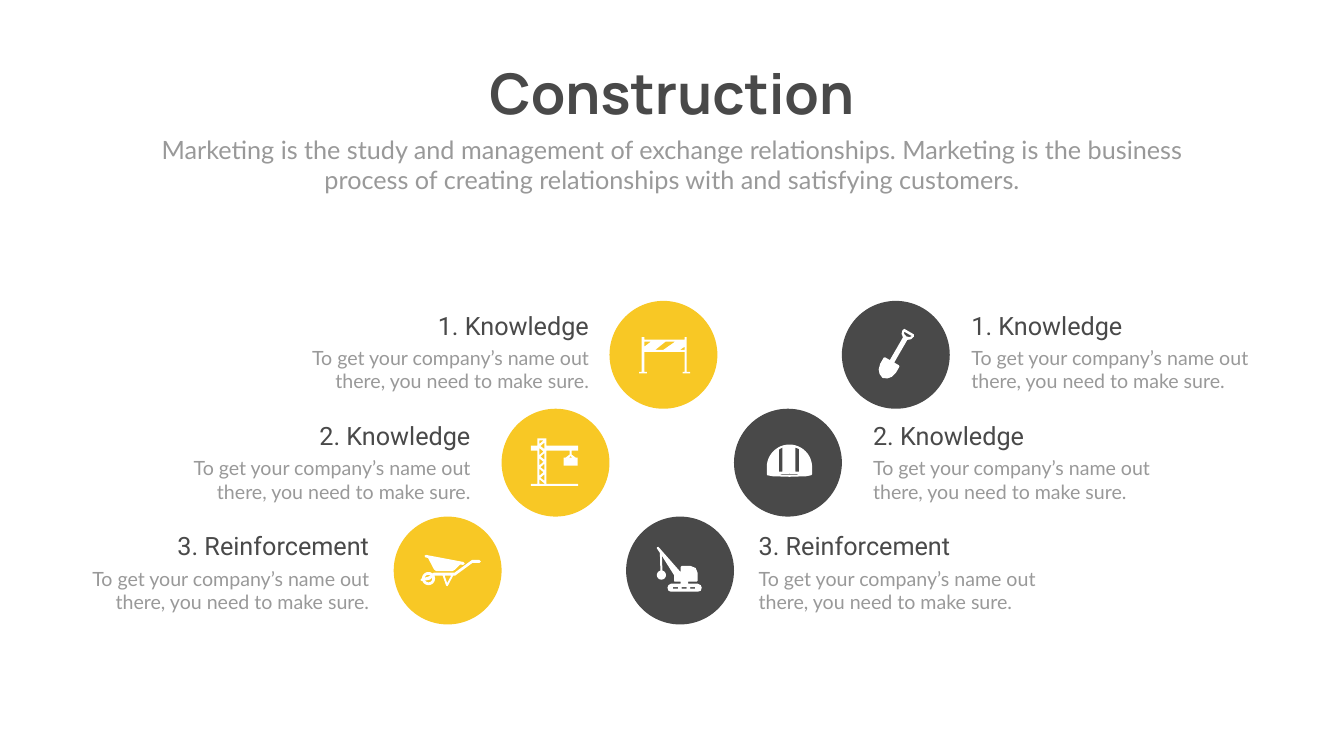
import math
import pptx
import pptx.dml.color
import pptx.enum.shapes
import pptx.enum.text
import pptx.util

Inches = pptx.util.Inches
Align = pptx.enum.text.PP_ALIGN
YELLOW = pptx.dml.color.RGBColor(0xF8, 0xC8, 0x25)
CHARCOAL = pptx.dml.color.RGBColor(0x49, 0x49, 0x49)
GRAY = pptx.dml.color.RGBColor(0x99, 0x99, 0x99)
WHITE = pptx.dml.color.RGBColor(0xFF, 0xFF, 0xFF)

CELL = 2.14
TOP = 5.97
TEXT_TOP = 6.1
TEXT_ROW = 2.19
HEADING_HEIGHT = 0.71
BODY_WIDTH = 5.85
BODY = "To get your company’s name out there, you need to make sure."

presentation = pptx.Presentation()
presentation.slide_width = Inches(26.66)
presentation.slide_height = Inches(15)
slide = presentation.slides.add_slide(presentation.slide_layouts[5])


def write_text(text, left, top, width, height, size, font, color,
               align=Align.LEFT, bold=False, wrap=True, shape=None):
    if shape is None:
        shape = slide.shapes.add_textbox(0, 0, 0, 0)
    shape.left, shape.top = Inches(left), Inches(top)
    shape.width, shape.height = Inches(width), Inches(height)
    frame = shape.text_frame
    frame.text = text
    frame.word_wrap = wrap
    frame.auto_size = pptx.enum.text.MSO_AUTO_SIZE.SHAPE_TO_FIT_TEXT
    frame.vertical_anchor = pptx.enum.text.MSO_ANCHOR.TOP
    paragraph = frame.paragraphs[0]
    paragraph.alignment = align
    run_font = paragraph.runs[0].font
    run_font.size = pptx.util.Pt(size)
    run_font.name = font
    run_font.bold = bold
    run_font.color.rgb = color


def draw_icon(left, top, contours, rotation=0):
    fine = [[(round(x * 10), round(y * 10)) for x, y in contour] for contour in contours]
    builder = slide.shapes.build_freeform(*fine[0][0], scale=Inches(1) / 1000)
    builder.add_line_segments(fine[0][1:])
    for contour in fine[1:]:
        builder.move_to(*contour[0])
        builder.add_line_segments(contour[1:])
    shape = builder.convert_to_shape(Inches(left), Inches(top))
    shape.rotation = rotation
    shape.shadow.inherit = False
    shape.fill.solid()
    shape.fill.fore_color.rgb = WHITE
    shape.line.fill.background()


write_text("Construction", 9.44, 1.12, 7.78, 1.45, size=80, font="Manrope", color=CHARCOAL,
           align=Align.CENTER, bold=True, wrap=False, shape=slide.shapes.title)
write_text("Marketing is the study and management of exchange relationships. "
           "Marketing is the business process of creating relationships with and "
           "satisfying customers.", 2.92, 2.61, 20.82, 1.31,
           size=36, font="Lato", color=GRAY, align=Align.CENTER)

unit_circle = [(math.cos(math.tau * step / 48), math.sin(math.tau * step / 48))
               for step in range(48)]

barrier = [
    [(0, 72), (0, 69), (5, 69), (5, 0), (10, 0), (10, 5), (90, 5), (90, 0), (94, 0), (94, 69),
     (101, 69), (101, 72), (86, 72), (86, 69), (90, 69), (90, 29), (10, 29), (10, 69),
     (15, 69), (15, 72)],
    [(32, 25), (52, 9), (71, 9), (48, 25)],
    [(23, 9), (10, 19), (10, 9)],
    [(81, 25), (90, 19), (90, 25)],
]
crane = [
    [(94, 24), (94, 14), (31, 14), (31, 0), (13, 0), (13, 14), (0, 14), (0, 24), (13, 24),
     (13, 90), (0, 90), (0, 94), (94, 94), (94, 90), (31, 90), (31, 24), (77, 24), (77, 32),
     (69, 38), (65, 38), (65, 54), (93, 54), (93, 38), (89, 38), (81, 32), (81, 24)],
    [(17, 4), (25, 4), (17, 11)],
    [(27, 90), (17, 90), (17, 81), (27, 89)],
    [(82, 38), (76, 38), (79, 35)],
]
crane += [[(17, y), (25, y + 7), (17, y + 14)] for y in (19, 39.5, 60)]
crane += [[(27, y), (19, y + 7), (27, y + 13)] for y in (8, 29, 50, 71)]
wheel = [[(16 + radius * x, 47 + radius * y) for x, y in unit_circle] for radius in (13, 7.5)]
barrow_frame = [
    [(117, 10), (103, 10), (101, 11), (68, 35), (27, 35), (16, 43), (2, 47), (0, 50), (3, 52),
     (14, 50), (19, 49), (28, 41), (44, 41), (51, 61), (54, 62), (65, 41), (69, 41),
     (103, 16), (117, 16), (120, 13)],
    [(53, 56), (48, 41), (61, 41)],
]
barrow_tray = [[(11, 0), (85, 14), (88, 17), (85, 20), (79, 19), (69, 29), (64, 32), (31, 32),
                (27, 29), (15, 6), (10, 5), (8, 2)]]
shovel = [
    [(7, 0), (29, 0), (31, 4), (29, 11), (23, 16), (23, 68), (34, 68), (36, 70), (36, 84),
     (33, 95), (27, 102), (18, 106), (9, 102), (3, 95), (0, 84), (0, 70), (2, 68), (13, 68),
     (13, 16), (7, 11), (5, 4)],
    [(9, 5), (12, 9), (18, 11), (24, 9), (27, 5)],
]
helmet = [
    [(45 + 45 * x, 45 + 45 * y) for x, y in unit_circle if y < 0.01 and x < 1]
    + [(90, 45), (90, 59), (88, 61), (78, 63), (45, 64), (12, 63), (1, 61), (0, 59), (0, 45)],
    [(57, 6), (64, 9), (64, 54), (57, 54)],
    [(24, 10), (31, 6), (31, 54), (24, 54)],
    [(45, 60), (12, 59), (45, 58), (77, 59)],
]
excavator = [
    [(62, 73), (62, 69), (79, 69), (81, 67), (81, 52), (77, 42), (67, 38), (49, 38), (47, 40),
     (47, 50), (3, 0), (0, 1), (0, 3), (6, 12), (7, 47), (11, 47), (10, 18), (34, 56),
     (34, 67), (35, 69), (47, 69), (47, 73), (28, 73), (23, 76), (21, 81), (23, 87), (28, 89),
     (81, 89), (87, 87), (89, 81), (87, 76), (81, 73)],
    [(9 + 9 * x, 56 + 9 * y) for x, y in unit_circle],
]
excavator += [[(x, 80), (x + 10, 80), (x + 10, 83), (x, 83)] for x in (32, 49, 66)]

headings = [("1. Knowledge", 3.26), ("2. Knowledge", 3.26), ("3. Reinforcement", 4.81)]
sides = [
    (7.81, YELLOW, Align.RIGHT, [11.78, 9.43, 7.42], [
        (0.59, 0.72, [barrier]),
        (0.58, 0.59, [crane]),
        (0.53, 0.76, [wheel, barrow_frame, barrow_tray])]),
    (12.42, CHARCOAL, Align.LEFT, [19.17, 17.22, 14.95], [
        (0.89, 0.54, [shovel]),
        (0.65, 0.71, [helmet]),
        (0.61, 0.6, [excavator])]),
]
for first_column, color, align, text_edges, icons in sides:
    for row, (heading, heading_width) in enumerate(headings):
        left = first_column + (2 - row) * CELL
        top = TOP + row * CELL
        circle = slide.shapes.add_shape(pptx.enum.shapes.MSO_SHAPE.OVAL, Inches(left),
                                        Inches(top), Inches(CELL), Inches(CELL))
        circle.shadow.inherit = False
        circle.fill.solid()
        circle.fill.fore_color.rgb = color
        circle.line.fill.background()

        icon_left, icon_top, parts = icons[row]
        for part in parts:
            draw_icon(left + icon_left, top + icon_top, part,
                      rotation=30 if part is shovel else 0)

        text_top = TEXT_TOP + row * TEXT_ROW
        shift = 1 if align == Align.RIGHT else 0
        write_text(heading, text_edges[row] - shift * heading_width, text_top, heading_width,
                   HEADING_HEIGHT, size=36, font="Roboto", color=CHARCOAL, align=align)
        write_text(BODY, text_edges[row] - shift * BODY_WIDTH, text_top + HEADING_HEIGHT,
                   BODY_WIDTH, 1.04, size=28, font="Lato", color=GRAY, align=align)

presentation.save("out.pptx")
